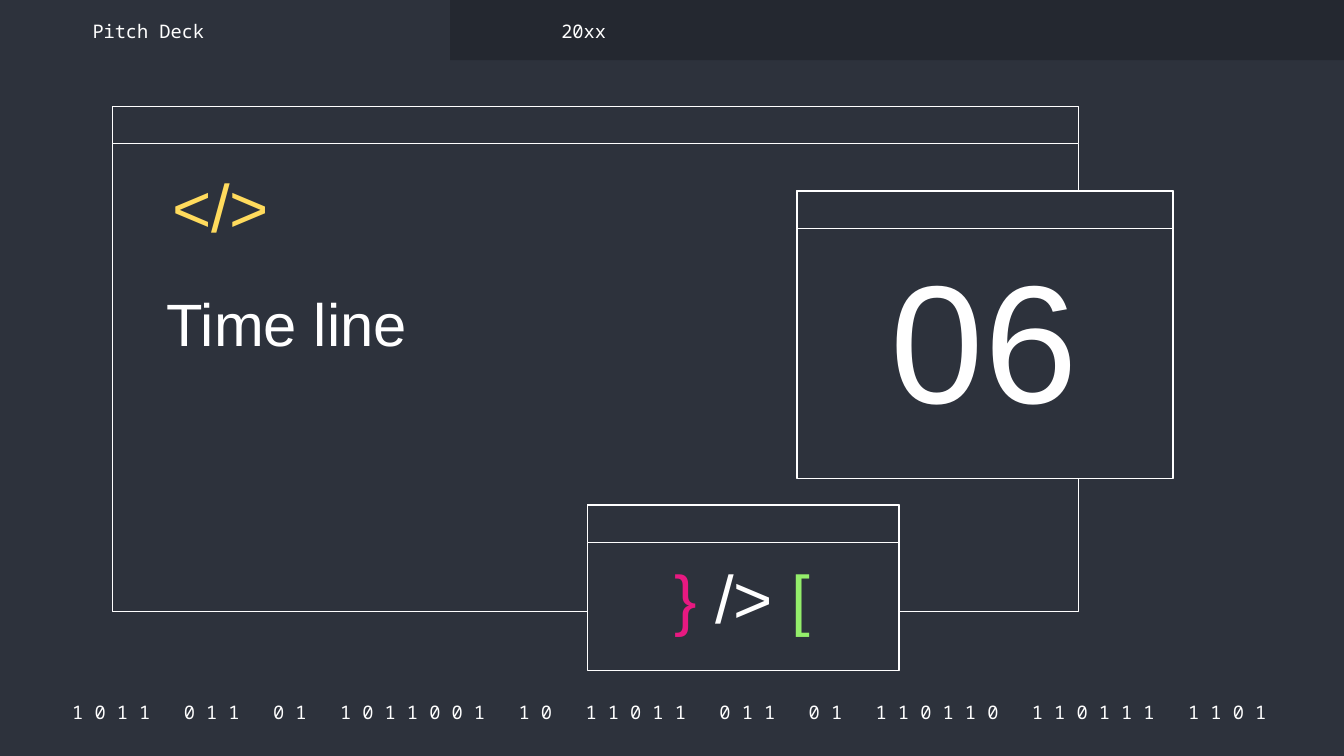
from dataclasses import dataclass

import pptx
import pptx.dml.color
import pptx.enum.shapes
import pptx.enum.text
import pptx.util

Cm = pptx.util.Cm
Pt = pptx.util.Pt
ALIGN = pptx.enum.text.PP_ALIGN
ANCHOR = pptx.enum.text.MSO_ANCHOR


@dataclass(frozen=True)
class Theme:
    background: str = "2D323C"
    tab_bar: str = "242830"
    white: str = "FFFFFF"
    yellow: str = "FFDB5D"
    pink: str = "E81981"
    green: str = "94EE6B"
    font: str = "Arial"
    mono: str = "Noto Sans Mono"
    small: int = 10
    title: int = 32
    code: int = 36
    number: int = 90


THEME = Theme()
BAR_HEIGHT = 0.71
BINARY_GROUPS = "1011 011 01 1011001 10 11011 011 01 110110 110111 1101".split()


def rgb(value):
    return pptx.dml.color.RGBColor.from_string(value)


def add_rect(shapes, box, fill, line=None):
    sp = shapes.add_shape(pptx.enum.shapes.MSO_SHAPE.RECTANGLE, *map(Cm, box))
    sp.shadow.inherit = False
    sp.fill.solid()
    sp.fill.fore_color.rgb = rgb(fill)
    if line:
        sp.line.color.rgb = rgb(line)
        sp.line.width = Pt(0.75)
    else:
        sp.line.fill.background()


def add_window(s, left, top, width, height):
    """Draw a grouped window frame with a title bar along its top."""
    group = s.shapes.add_group_shape()
    for part in (height, BAR_HEIGHT):
        add_rect(group.shapes, (left, top, width, part), THEME.background, THEME.white)


def write(sp, runs, size, font=THEME.font, align=ALIGN.LEFT, anchor=ANCHOR.TOP, spacing=1.0):
    """Fill a shape with one paragraph made of (text, colour) runs."""
    tf = sp.text_frame
    tf.word_wrap = True
    tf.auto_size = pptx.enum.text.MSO_AUTO_SIZE.NONE
    tf.vertical_anchor = anchor
    tf.margin_left = tf.margin_right = tf.margin_top = tf.margin_bottom = Cm(0.25)
    p = tf.paragraphs[0]
    p.alignment = align
    p.line_spacing = spacing
    for text, color in runs:
        r = p.add_run()
        r.text = text
        r.font.name = font
        r.font.size = Pt(size)
        r.font.color.rgb = rgb(color)


def add_text(s, box, runs, size, **style):
    write(s.shapes.add_textbox(*map(Cm, box)), runs, size, **style)


def add_mono(s, box, text, align=ALIGN.LEFT):
    add_text(s, box, [(text, THEME.white)], THEME.small,
             font=THEME.mono, align=align, anchor=ANCHOR.MIDDLE)


def place_title(s, box, text):
    sp = s.shapes.title
    sp.left, sp.top, sp.width, sp.height = map(Cm, box)
    write(sp, [(text, THEME.white)], THEME.title)
    # Bring the title in front of the windows
    s.shapes._spTree.append(sp._element)


def main():
    prs = pptx.Presentation()
    prs.slide_width, prs.slide_height = Cm(25.4), Cm(14.29)
    s = prs.slides.add_slide(prs.slide_layouts[5])
    s.background.fill.solid()
    s.background.fill.fore_color.rgb = rgb(THEME.background)

    binary = "   ".join(" ".join(group) for group in BINARY_GROUPS)
    add_mono(s, (0.87, 13.21, 23.55, 0.51), binary, ALIGN.CENTER)
    add_rect(s.shapes, (8.51, 0, 16.89, 1.14), THEME.tab_bar)

    add_window(s, 2.13, 2.01, 18.26, 9.55)
    add_window(s, 11.1, 9.55, 5.89, 3.12)
    add_window(s, 15.06, 3.61, 7.11, 5.44)

    place_title(s, (2.9, 5.18, 10.95, 2.29), "Time line")
    add_text(s, (15.52, 4.32, 6.17, 4.19), [("06", THEME.white)], THEME.number,
             align=ALIGN.CENTER, anchor=ANCHOR.BOTTOM)
    add_text(s, (2.34, 3.05, 3, 1.57), [("</>", THEME.yellow)], THEME.code,
             align=ALIGN.RIGHT, spacing=0.9)
    for left, label in ((1.5, "Pitch Deck"), (10.36, "20xx")):
        add_mono(s, (left, 0.33, 5.56, 0.51), label)
    symbols = [("}", THEME.pink), (" /> ", THEME.white), ("[", THEME.green)]
    add_text(s, (12.34, 10.44, 3.38, 2.08), symbols, THEME.code,
             align=ALIGN.CENTER, spacing=0.9)

    prs.save("out.pptx")


if __name__ == "__main__":
    main()
